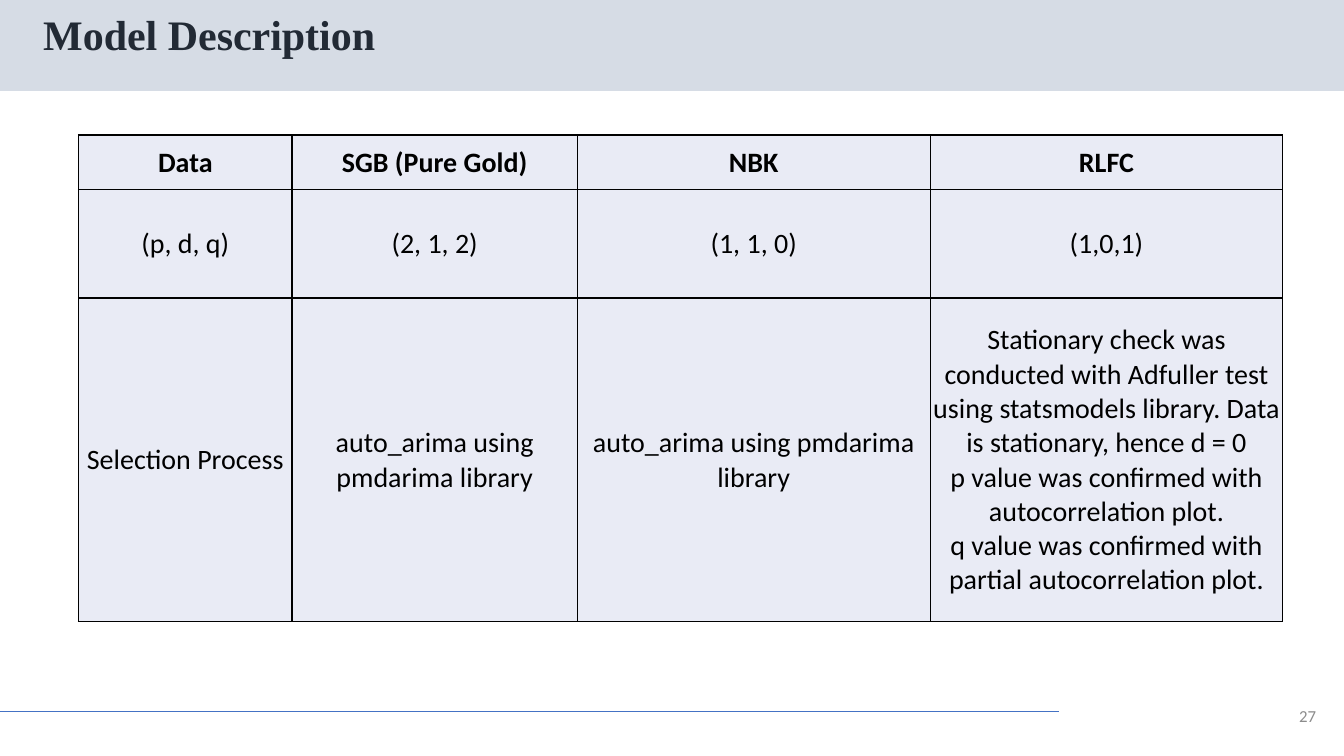
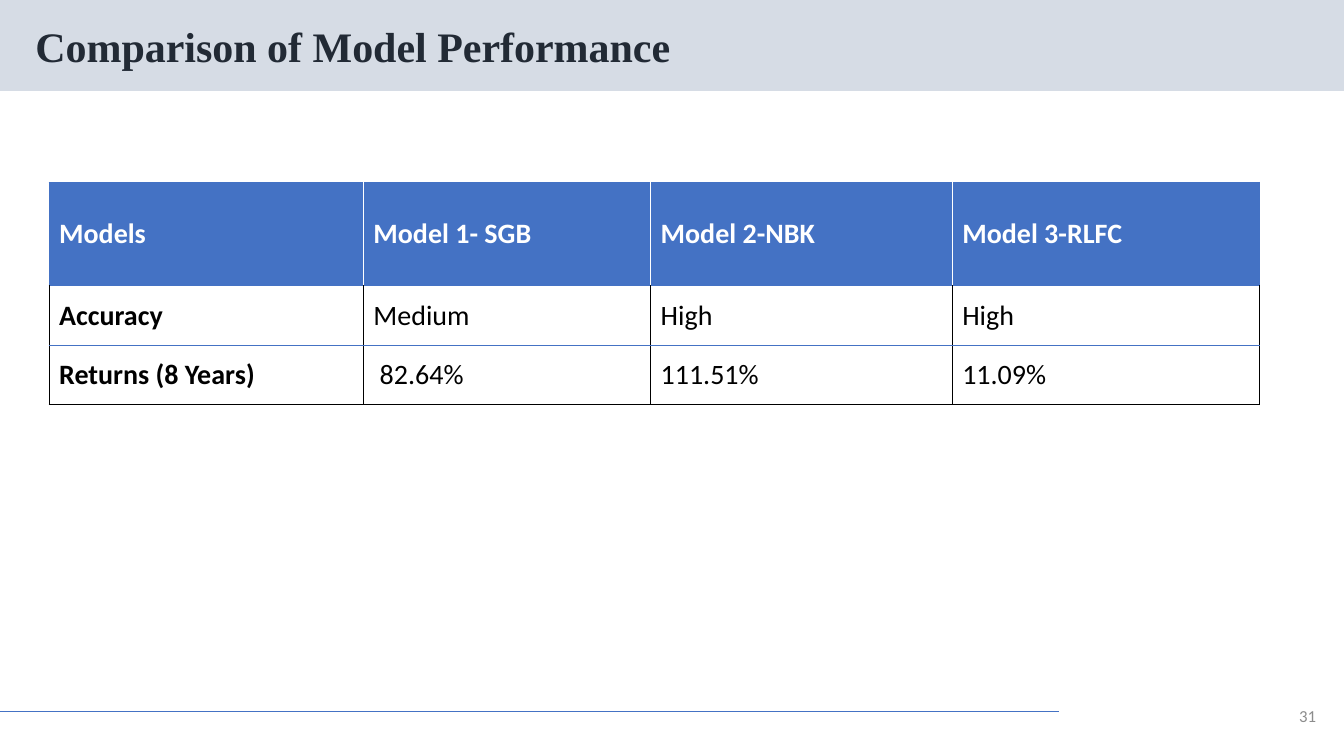
from dataclasses import dataclass

from lxml import etree
from pptx import Presentation
from pptx.dml.color import RGBColor
from pptx.enum.shapes import MSO_CONNECTOR, MSO_SHAPE
from pptx.enum.text import MSO_ANCHOR, PP_ALIGN
from pptx.oxml.ns import qn
from pptx.util import Cm, Pt

RECTANGLE, STRAIGHT = MSO_SHAPE.RECTANGLE, MSO_CONNECTOR.STRAIGHT
MIDDLE = MSO_ANCHOR.MIDDLE
LEFT, CENTER, RIGHT = PP_ALIGN.LEFT, PP_ALIGN.CENTER, PP_ALIGN.RIGHT


@dataclass(frozen=True)
class Theme:
    band: str = "D6DCE5"
    title: str = "222A35"
    accent: str = "4472C4"
    tint: str = "E9EBF5"
    number: str = "8C8C8C"
    black: str = "000000"
    white: str = "FFFFFF"
    title_font: str = "Times New Roman"
    body_font: str = "Calibri"
    title_size: int = 30
    table_size: int = 20
    number_size: int = 12


THEME = Theme()


def write(frame, text, font, size, color, bold=False, align=LEFT, spacing=1.0):
    frame.text = text
    frame.word_wrap = True
    frame.vertical_anchor = MIDDLE
    for paragraph in frame.paragraphs:
        paragraph.alignment = align
        paragraph.line_spacing = spacing
        for run in paragraph.runs:
            run.font.name = font
            run.font.size = Pt(size)
            run.font.bold = bold
            run.font.color.rgb = RGBColor.from_string(color)


def set_borders(cell, colors):
    """Draw 1 pt cell edges; colors are ordered left, right, top, bottom."""
    properties = cell._tc.get_or_add_tcPr()
    for position, (side, color) in enumerate(zip("LRTB", colors)):
        edge = etree.Element(qn(f"a:ln{side}"), w=str(Pt(1)))
        fill = etree.SubElement(edge, qn("a:solidFill"))
        etree.SubElement(fill, qn("a:srgbClr"), val=color)
        properties.insert(position, edge)


# Each table: place, grid, cell texts and the look of its cells
PAGES = [
    dict(
        title="Model Description", title_at=(0.84, 0.23), number="27",
        table_at=(1.98, 3.4),
        columns=[5.38, 7.19, 8.89, 8.89], rows=[1.37, 2.74, 8.15],
        cells=[
            ["Data", "SGB (Pure Gold)", "NBK", "RLFC"],
            ["(p, d, q)", "(2, 1, 2)", "(1, 1, 0)", "(1,0,1)"],
            ["Selection Process",
             "auto_arima using pmdarima library",
             "auto_arima using pmdarima library",
             "Stationary check was conducted with Adfuller test using "
             "statsmodels library. Data is stationary, hence d = 0\n"
             "p value was confirmed with autocorrelation plot.\n"
             "q value was confirmed with partial autocorrelation plot."],
        ],
        align=CENTER, margins=(0.03, 0.03, 0.03, 0), bold_labels=False,
        header=(THEME.tint, THEME.black), body_fill=THEME.tint,
        header_divider=THEME.black, header_edge=THEME.black,
        row_line=THEME.black,
    ),
    dict(
        title="Comparison of Model Performance", title_at=(0.64, 0.53),
        number="31", table_at=(1.24, 4.6),
        columns=[7.92, 7.24, 7.6, 7.75], rows=[2.6, 1.5, 1.5],
        cells=[
            ["Models", "Model 1- SGB", "Model 2-NBK", "Model 3-RLFC"],
            ["Accuracy", "Medium", "High", "High"],
            ["Returns (8 Years)", " 82.64%", "111.51%", "11.09%"],
        ],
        align=LEFT, margins=(0.25, 0.25, 0.13, 0.13), bold_labels=True,
        header=(THEME.accent, THEME.white), body_fill=None,
        header_divider=THEME.white, header_edge=THEME.accent,
        row_line=THEME.accent,
    ),
]

deck = Presentation()
deck.slide_width, deck.slide_height = Cm(33.87), Cm(19.05)
blank = deck.slide_layouts[6]

for page in PAGES:
    slide = deck.slides.add_slide(blank)

    # Band, footer line, title and page number
    band = slide.shapes.add_shape(RECTANGLE, 0, 0, deck.slide_width, Cm(2.29))
    band.shadow.inherit = False
    band.fill.solid()
    band.fill.fore_color.rgb = RGBColor.from_string(THEME.band)
    band.line.fill.background()

    footer_line = slide.shapes.add_connector(
        STRAIGHT, 0, Cm(17.93), Cm(26.7), Cm(17.93))
    footer_line.line.color.rgb = RGBColor.from_string(THEME.accent)
    footer_line.line.width = Pt(0.5)
    etree.SubElement(footer_line._element.spPr, qn("a:effectLst"))

    left, top = page["title_at"]
    title = slide.shapes.add_textbox(Cm(left), Cm(top), Cm(29.1), Cm(1.42))
    write(title.text_frame, page["title"], THEME.title_font, THEME.title_size,
          THEME.title, bold=True, spacing=0.9)

    number = slide.shapes.add_textbox(Cm(32.33), Cm(17.63), Cm(1.09), Cm(0.81))
    write(number.text_frame, page["number"], THEME.body_font,
          THEME.number_size, THEME.number, align=RIGHT)

    # Table
    columns, rows = page["columns"], page["rows"]
    left, top = page["table_at"]
    table = slide.shapes.add_table(
        len(rows), len(columns), Cm(left), Cm(top),
        Cm(sum(columns)), Cm(sum(rows))).table
    table.first_row = page["header"][0] == THEME.accent
    table.horz_banding = False
    for column, width in zip(table.columns, columns):
        column.width = Cm(width)
    for row, height in zip(table.rows, rows):
        row.height = Cm(height)

    last_row, last_column = len(rows) - 1, len(columns) - 1
    for r, texts in enumerate(page["cells"]):
        for c, text in enumerate(texts):
            cell = table.cell(r, c)
            is_header = r == 0
            fill, color = (page["header"] if is_header
                           else (page["body_fill"], THEME.black))
            bold = is_header or (c == 0 and page["bold_labels"])
            write(cell.text_frame, text, THEME.body_font, THEME.table_size,
                  color, bold, page["align"])
            cell.vertical_anchor = MIDDLE
            (cell.margin_left, cell.margin_right, cell.margin_top,
             cell.margin_bottom) = map(Cm, page["margins"])
            if fill:
                cell.fill.solid()
                cell.fill.fore_color.rgb = RGBColor.from_string(fill)
            else:
                cell.fill.background()

            divider = page["header_divider"] if is_header else THEME.black
            outer = page["header_edge"] if is_header else THEME.black
            set_borders(cell, (
                outer if c == 0 else divider,
                outer if c == last_column else divider,
                page["row_line"],
                THEME.black if r == last_row else page["row_line"],
            ))

deck.save("out.pptx")
